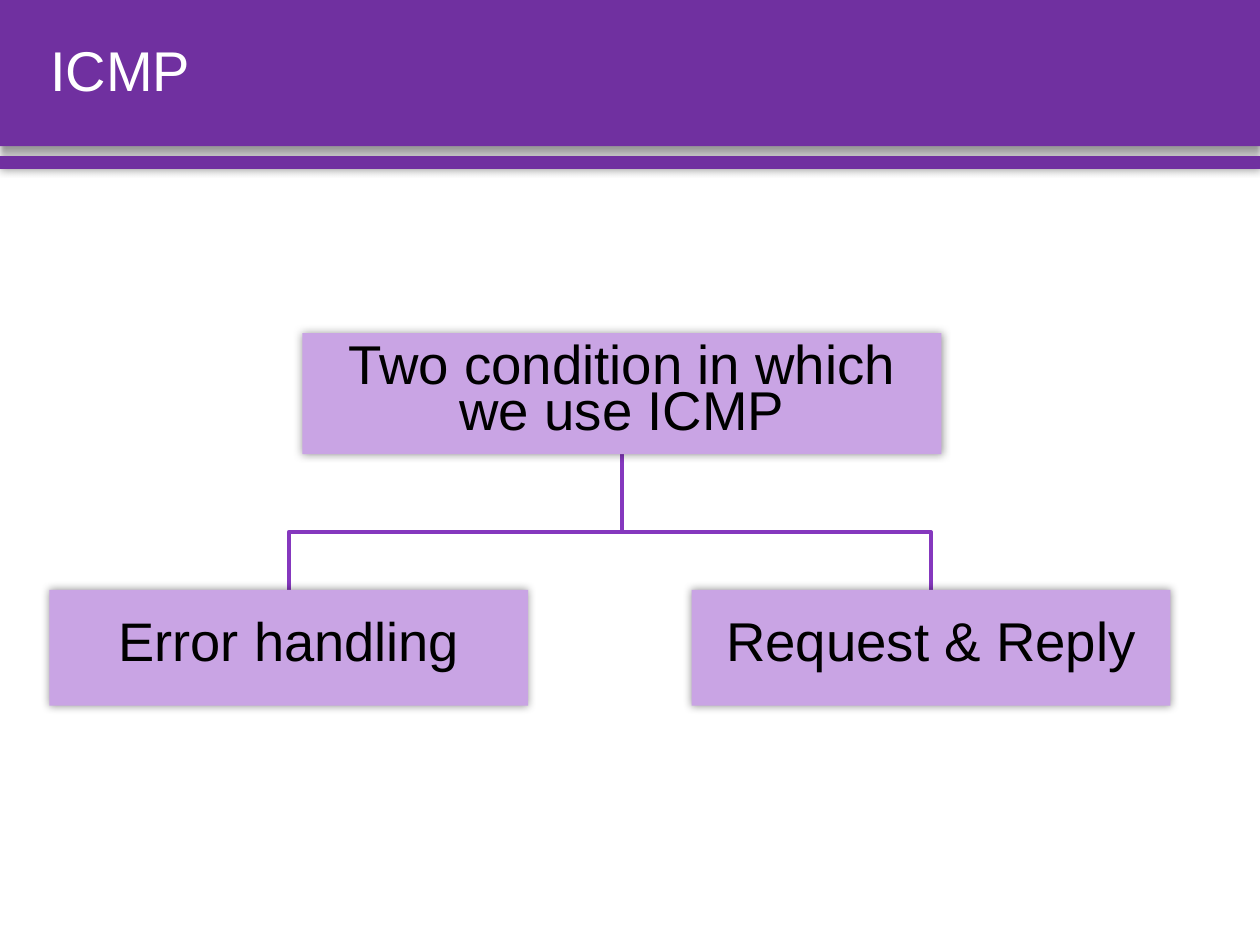
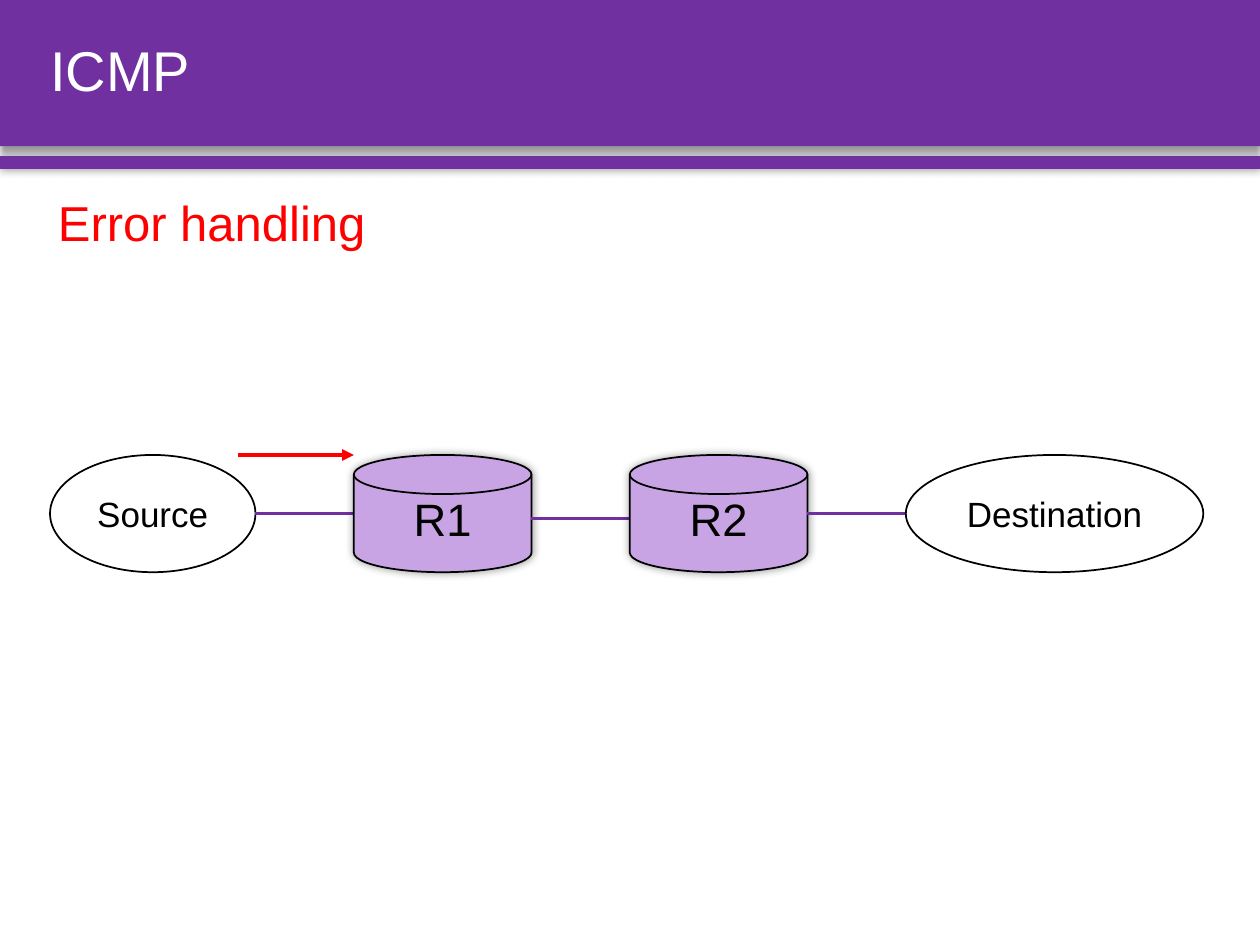
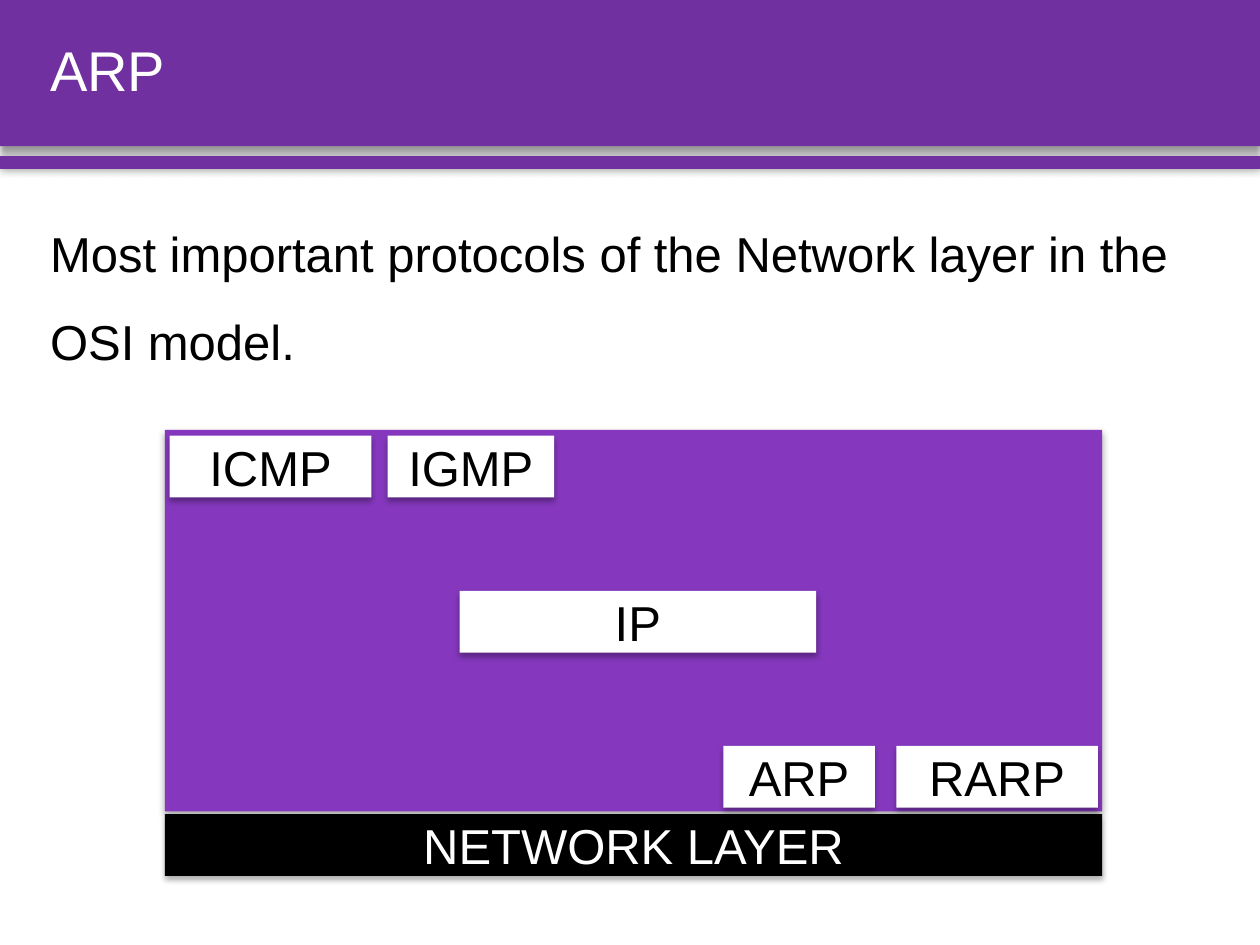
import pptx
import pptx.util
import pptx.dml.color
import pptx.enum.shapes
import pptx.enum.text
import pptx.oxml
import pptx.oxml.ns
from lxml import etree

Pt = pptx.util.Pt
SHAPE = pptx.enum.shapes.MSO_SHAPE
ALIGN = pptx.enum.text.PP_ALIGN
ANCHOR = pptx.enum.text.MSO_ANCHOR

COLORS = {
    "header": "7030A0",
    "accent": "8538BE",
    "lilac": "C9A4E4",
    "alert": "FF0000",
    "ink": "000000",
    "paper": "FFFFFF",
}
SHADOWS = {
    "header": (40, 4, 3, 90),
    "glow": (40, 5, 0, 0),
    "chip": (32, 3.5, 2.2, 90),
}


def rgb(color):
    return pptx.dml.color.RGBColor.from_string(COLORS[color])


def assign(target, values):
    for name, value in values.items():
        setattr(target, name, value)


class Deck:
    font_name = "Arial"

    def __init__(self):
        self.presentation = pptx.Presentation()
        assign(self.presentation, {"slide_width": Pt(720), "slide_height": Pt(540)})
        self.shapes = None

    def slide(self, title):
        blank = self.presentation.slide_layouts[6]
        self.shapes = self.presentation.slides.add_slide(blank).shapes
        self.box((0, 0, 720, 83.5), "header", shadow="header")
        self.box((0, 89.3, 720, 7.2), "header", shadow="glow")
        self.text((21.6, 0, 681, 83.5), title, 32, "paper", spacing=0.9, anchor=ANCHOR.MIDDLE)

    def group(self):
        self.shapes = self.shapes.add_group_shape().shapes

    def typeset(self, frame, words, size, color, align, spacing, anchor, wrap=True):
        assign(frame, {"word_wrap": wrap, "vertical_anchor": anchor})
        paragraph = frame.paragraphs[0]
        paragraph.text = words
        assign(paragraph, {"alignment": align, "line_spacing": spacing})
        assign(paragraph.font, {"name": self.font_name, "size": Pt(size)})
        paragraph.font.color.rgb = rgb(color)

    def text(self, area, words, size, color, align=ALIGN.LEFT, spacing=1.0,
             anchor=ANCHOR.TOP, wrap=True):
        frame = self.shapes.add_textbox(*map(Pt, area)).text_frame
        self.typeset(frame, words, size, color, align, spacing, anchor, wrap)

    def box(self, area, fill, words="", size=28, color="ink", kind=SHAPE.RECTANGLE,
            outline=None, shadow=None, spacing=1.0):
        shape = self.shapes.add_shape(kind, *map(Pt, area))
        shape.fill.solid()
        shape.fill.fore_color.rgb = rgb(fill)
        self.stroke(shape, outline, 1)
        shape.shadow.inherit = False
        if shadow:
            self.cast(shape, *SHADOWS[shadow])
        if words:
            self.typeset(shape.text_frame, words, size, color, ALIGN.CENTER, spacing,
                         ANCHOR.MIDDLE)

    def stroke(self, shape, color, width):
        if color:
            shape.line.color.rgb = rgb(color)
            shape.line.width = Pt(width)
        else:
            shape.line.fill.background()

    def cast(self, shape, opacity, blur, distance, angle):
        effects = shape._element.spPr.find(pptx.oxml.ns.qn("a:effectLst"))
        outer = etree.SubElement(effects, pptx.oxml.ns.qn("a:outerShdw"), {
            "blurRad": str(Pt(blur)), "dist": str(Pt(distance)),
            "dir": str(angle * 60000), "algn": "ctr", "rotWithShape": "0"})
        tone = etree.SubElement(outer, pptx.oxml.ns.qn("a:srgbClr"), val=COLORS["ink"])
        etree.SubElement(tone, pptx.oxml.ns.qn("a:alpha"), val=str(opacity * 1000))

    def branch(self, points, color, width):
        start, *bends = [(Pt(x), Pt(y)) for x, y in points]
        builder = self.shapes.build_freeform(*start)
        builder.add_line_segments(bends, close=False)
        shape = builder.convert_to_shape()
        shape.fill.background()
        self.stroke(shape, color, width)
        shape.shadow.inherit = False

    def link(self, start, end, color, width, arrow=False):
        line = self.shapes.add_connector(
            pptx.enum.shapes.MSO_CONNECTOR.STRAIGHT, *map(Pt, start + end))
        self.stroke(line, color, width)
        if arrow:
            etree.SubElement(line.line._get_or_add_ln(), pptx.oxml.ns.qn("a:tailEnd"),
                             type="triangle")
        etree.SubElement(line._element.spPr, pptx.oxml.ns.qn("a:effectLst"))


def conditions(deck):
    deck.slide("ICMP")
    root_center, bend, leaf_top, leaf_width = 355.4, 304, 337, 273.6
    leaves = [("Request & Reply", 395.2, 31.2), ("Error handling", 28.2, 31)]
    for _, left, _ in leaves:
        center = left + leaf_width / 2
        deck.branch([(root_center, 255), (root_center, bend), (center, bend),
                     (center, leaf_top)], "accent", 2.25)
    deck.box((172.8, 190.4, 365.2, 69.2), "lilac", "Two condition in which we use ICMP",
             31.2, shadow="glow", spacing=0.7)
    for words, left, size in leaves:
        deck.box((left, leaf_top, leaf_width, 66.2), "lilac", words, size,
                 shadow="glow", spacing=0.7)


def error_route(deck):
    deck.slide("ICMP")
    top, height, gap = 260, 67, 56.2
    host = {"fill": "paper", "size": 20, "kind": SHAPE.OVAL}
    router = {"fill": "lilac", "size": 25.9, "kind": SHAPE.FLOWCHART_MAGNETIC_DISK,
              "shadow": "glow", "spacing": 0.8}
    stops = [("Source", 117.4, host), ("R1", 101.5, router),
             ("R2", 101.5, router), ("Destination", 170, host)]
    link_heights = [293.3, 296.4, 293.3]
    left = 28.6
    for index, (words, width, style) in enumerate(stops):
        if index:
            y = link_heights[index - 1]
            deck.link((left - gap, y), (left, y), "header", 1.5)
        deck.box((left, top, width, height), words=words, outline="ink", **style)
        left += width + gap
    deck.link((136, top), (202.2, top), "alert", 2.25, arrow=True)
    deck.text((21.6, 110.2, 198.7, 38.2), "Error handling", 28, "alert",
              ALIGN.CENTER, 0.9, wrap=False)


def network_layer(deck):
    deck.slide("ARP")
    deck.text((21.6, 107.3, 681, 393),
              "Most important protocols of the Network layer in the OSI model.",
              28, "ink", spacing=1.5)
    deck.group()
    panel_left, panel_width, chip_height = 94.2, 535.6, 35.3
    deck.box((panel_left, 245.6, panel_width, 218), "accent", shadow="chip")
    upper, middle, lower = 249, 337.7, 426.2
    protocols = [("IP", 262.6, middle, 203.8), ("ICMP", 97, upper, 115.2),
                 ("IGMP", 221.5, upper, 95.2), ("ARP", 413.3, lower, 86.6),
                 ("RARP", 512.2, lower, 115.2)]
    for words, left, top, width in protocols:
        deck.box((left, top, width, chip_height), "paper", words, shadow="chip")
    deck.box((panel_left, 465.2, panel_width, chip_height), "ink", "NETWORK LAYER",
             color="paper", shadow="chip")


def main():
    deck = Deck()
    for build in (conditions, error_route, network_layer):
        build(deck)
    deck.presentation.save("out.pptx")


if __name__ == "__main__":
    main()
